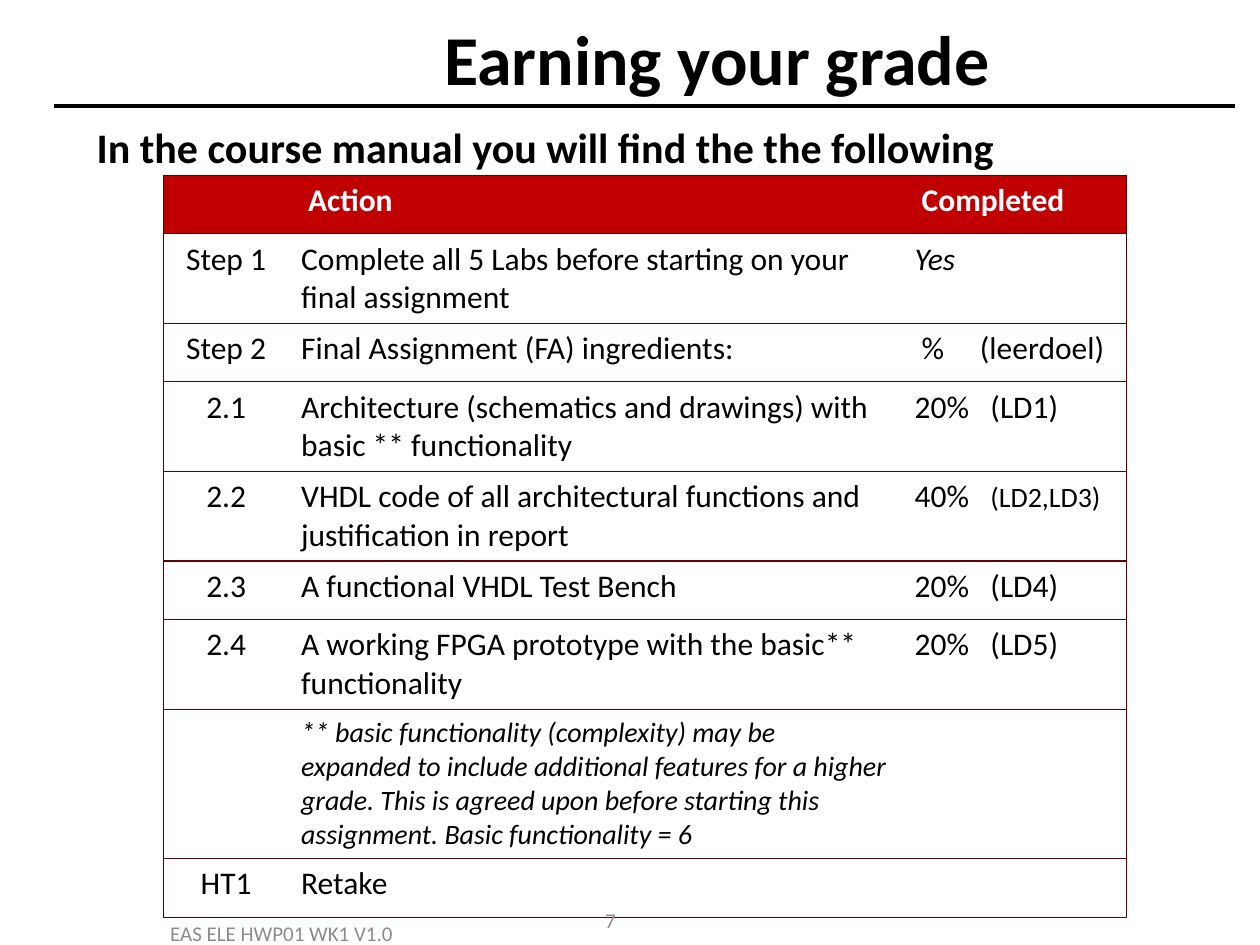
"""Build the course slide that explains how the grade is earned."""
from lxml import etree
from pptx import Presentation
from pptx.dml.color import RGBColor
from pptx.enum import shapes, text
from pptx.oxml import ns
from pptx.util import Pt

BLACK = RGBColor(0x00, 0x00, 0x00)
WHITE = RGBColor(0xFF, 0xFF, 0xFF)
RED = RGBColor(0xC0, 0x00, 0x00)
MAROON = RGBColor(0x5E, 0x00, 0x00)
GREY = RGBColor(0x8C, 0x8C, 0x8C)

CENTER, LEFT = text.PP_ALIGN.CENTER, text.PP_ALIGN.LEFT
MIDDLE, TOP = text.MSO_ANCHOR.MIDDLE, text.MSO_ANCHOR.TOP

BODY = {"size": 18, "color": BLACK, "bold": False, "italic": False}
HEADER = {**BODY, "color": WHITE, "bold": True}
ITALIC = {**BODY, "italic": True}
SMALL = {**BODY, "size": 16}
NOTE = {**SMALL, "italic": True}
TITLE = {**BODY, "size": 40, "bold": True}
LEAD = {**BODY, "size": 24, "bold": True}
FOOTER = {**BODY, "size": 12, "color": GREY}

TEXTS = [
    ("Earning your grade", (99.4, 0, 620.6, 66), TITLE, CENTER, MIDDLE, True),
    ("7", (275, 511.2, 147.6, 28.8), FOOTER, CENTER, MIDDLE, True),
    ("EAS ELE HWP01 WK1 V1.0", (46.8, 519.1, 228.2, 28.8), FOOTER, CENTER, MIDDLE, True),
    ("In the course manual you will find the the following",
     (48.2, 66.2, 542.9, 36), LEAD, LEFT, TOP, False),
]

ONE_LINE, TWO_LINES, FOUR_LINES = 33.5, 51.1, 85.5
ROWS = [
    (ONE_LINE, "", "Action", [("Completed", HEADER)]),
    (TWO_LINES, "Step 1", "Complete all 5 Labs before starting on your final assignment",
     [("Yes", ITALIC)]),
    (ONE_LINE, "Step 2", "Final Assignment (FA) ingredients:", [("%\t(leerdoel)", BODY)]),
    (TWO_LINES, "2.1", "Architecture (schematics and drawings) with basic ** functionality",
     [("20%\t(LD1)", BODY)]),
    (TWO_LINES, "2.2", "VHDL code of all architectural functions and justification in report",
     [("40%\t", BODY), ("(LD2,LD3)", SMALL)]),
    (ONE_LINE, "2.3", "A functional VHDL Test Bench", [("20%\t(LD4)", BODY)]),
    (TWO_LINES, "2.4", "A working FPGA prototype with the basic** functionality",
     [("20%\t(LD5)", BODY)]),
    (FOUR_LINES, "", "** basic functionality (complexity) may be expanded to include "
     "additional features for a higher grade. This is agreed upon before starting "
     "this assignment. Basic functionality = 6", []),
    (ONE_LINE, "HT1", "Retake", []),
]
ACTION_STYLES = {0: HEADER, 7: NOTE}
INDENTS = {(0, 1): 4, (0, 2): 4, (2, 2): 4}
TAB_STOPS = {2: 33.3}
DEFAULT_TAB = 43.3
COLUMNS = (71.3, 350.6, 128.2)
TABLE_LEFT, TABLE_TOP = 93.6, 100.1


def add_span(para, words, style):
    span = para.add_run()
    span.text = words
    span.font.name = "Calibri"
    span.font.color.rgb = style["color"]
    for name, value in (("size", Pt(style["size"])), ("bold", style["bold"]),
                        ("italic", style["italic"])):
        setattr(span.font, name, value)


def add_text(page, words, place, style, align, anchor, wrap):
    frame = page.shapes.add_textbox(*map(Pt, place)).text_frame
    frame.word_wrap = wrap
    frame.vertical_anchor = anchor
    para = frame.paragraphs[0]
    para.alignment = align
    add_span(para, words, style)


def add_rule(page):
    rule = page.shapes.add_connector(
        shapes.MSO_CONNECTOR.STRAIGHT, Pt(31), Pt(60.5), Pt(705.6), Pt(60.5))
    rule.line.color.rgb = BLACK
    rule.line.width = Pt(2)
    etree.SubElement(rule._element.spPr, ns.qn("a:effectLst"))


def set_borders(cell, drawn):
    props = cell._tc.get_or_add_tcPr()
    for side in "LRTB":
        border = etree.SubElement(props, ns.qn(f"a:ln{side}"), w=str(Pt(0.75)))
        if side in drawn:
            fill = etree.SubElement(border, ns.qn("a:solidFill"))
            etree.SubElement(fill, ns.qn("a:srgbClr"), val=str(MAROON))
        else:
            etree.SubElement(border, ns.qn("a:noFill"))


def set_layout(para, indent, stop):
    props = para._p.get_or_add_pPr()
    props.set("marL", str(Pt(indent)))
    if stop:
        tabs = etree.SubElement(props, ns.qn("a:tabLst"))
        etree.SubElement(tabs, ns.qn("a:tab"), pos=str(Pt(stop)), algn="l")


def add_grades(page):
    table = page.shapes.add_table(
        len(ROWS), len(COLUMNS), Pt(TABLE_LEFT), Pt(TABLE_TOP),
        Pt(sum(COLUMNS)), Pt(sum(row[0] for row in ROWS))).table
    table.first_row = table.horz_banding = False
    for column, width in zip(table.columns, COLUMNS):
        column.width = Pt(width)
    for r, (height, step, action, completed) in enumerate(ROWS):
        table.rows[r].height = Pt(height)
        contents = [[(step, BODY)], [(action, ACTION_STYLES.get(r, BODY))], completed]
        for c, spans in enumerate(contents):
            cell = table.cell(r, c)
            set_borders(cell, ("LTB", "TB", "RTB")[c])
            if r == 0:
                cell.fill.solid()
                cell.fill.fore_color.rgb = RED
            else:
                cell.fill.background()
            para = cell.text_frame.paragraphs[0]
            para.alignment = LEFT if c else CENTER
            has_tab = any("\t" in words for words, style in spans)
            set_layout(para, INDENTS.get((r, c), 0),
                       TAB_STOPS.get(r, DEFAULT_TAB) if has_tab else None)
            for words, style in spans:
                if words:
                    add_span(para, words, style)


def main():
    deck = Presentation()
    deck.slide_width, deck.slide_height = Pt(720), Pt(540)
    page = deck.slides.add_slide(deck.slide_layouts[6])
    add_rule(page)
    add_grades(page)
    for item in TEXTS:
        add_text(page, *item)
    deck.save("out.pptx")


if __name__ == "__main__":
    main()
